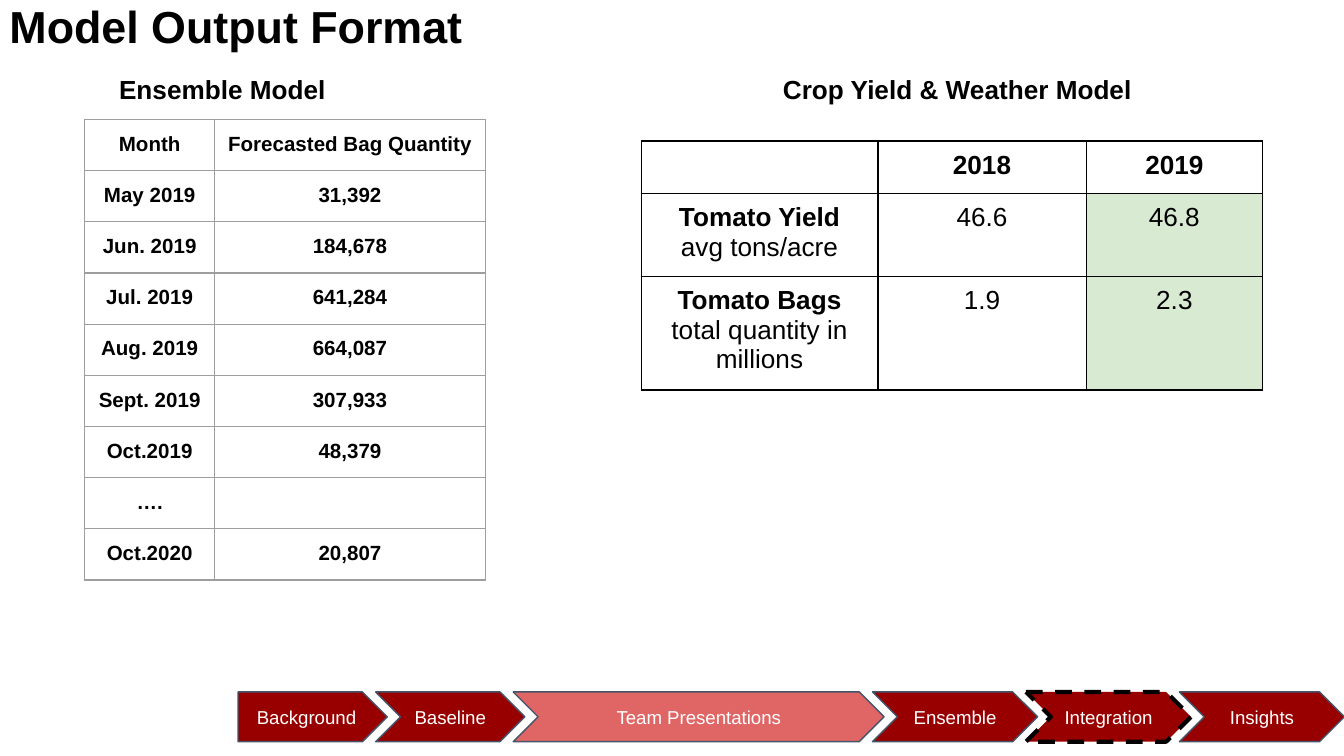
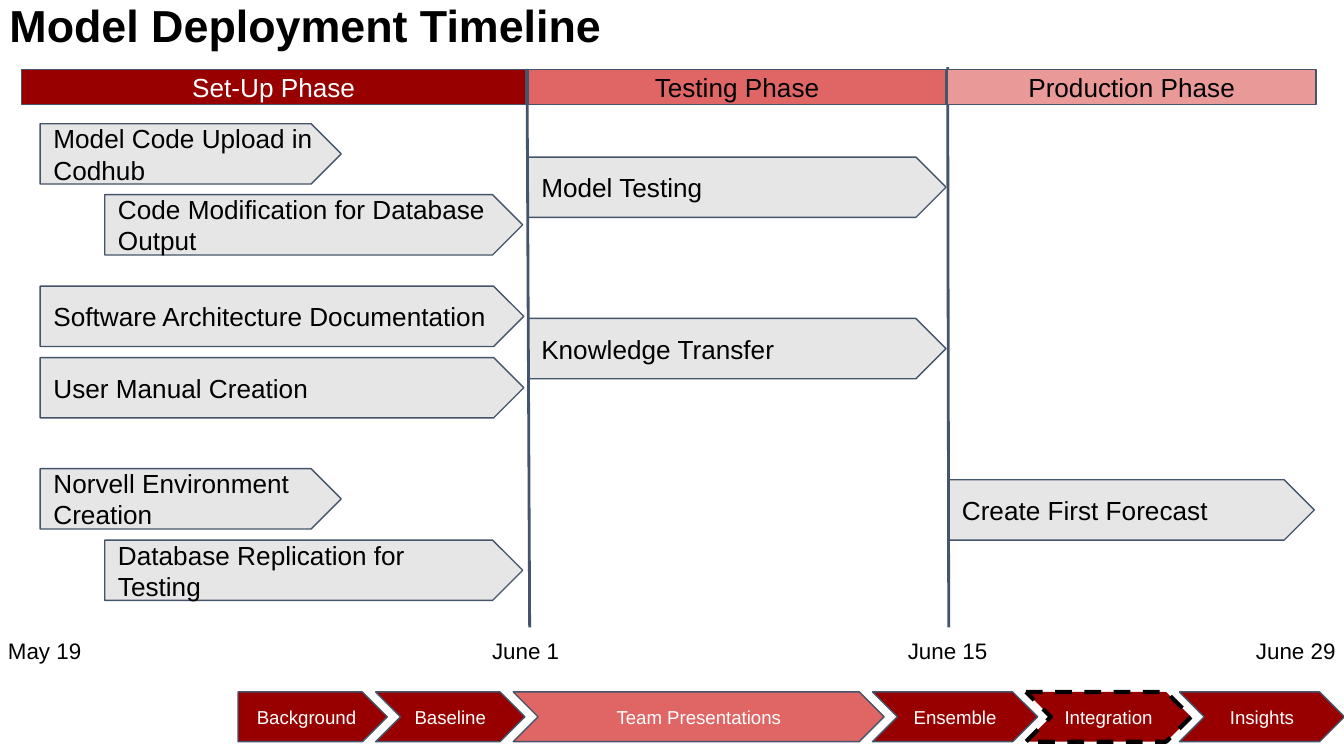
from dataclasses import dataclass

from lxml import etree
from pptx import Presentation
from pptx.dml.color import RGBColor
from pptx.enum.dml import MSO_LINE
from pptx.enum.shapes import MSO_CONNECTOR, MSO_SHAPE
from pptx.enum.text import MSO_ANCHOR, PP_ALIGN
from pptx.oxml.ns import qn
from pptx.slide import Slide
from pptx.table import _Cell
from pptx.text.text import TextFrame
from pptx.util import Cm, Pt

CHEVRON = MSO_SHAPE.CHEVRON
PENTAGON = MSO_SHAPE.PENTAGON
RECTANGLE = MSO_SHAPE.RECTANGLE
STRAIGHT = MSO_CONNECTOR.STRAIGHT
DASH = MSO_LINE.DASH
LEFT = PP_ALIGN.LEFT
CENTER = PP_ALIGN.CENTER
MIDDLE = MSO_ANCHOR.MIDDLE

FONT = "Arial"
COLORS = {
    "black": "000000",
    "white": "FFFFFF",
    "crimson": "980000",
    "coral": "E06666",
    "rose": "EA9999",
    "task": "E7E6E6",
    "outline": "44546A",
    "grid": "9E9E9E",
    "forecast": "D9EAD3",
}


@dataclass(frozen=True)
class Box:
    left: float
    top: float
    width: float
    height: float

    def lengths(self) -> tuple[Cm, Cm, Cm, Cm]:
        return Cm(self.left), Cm(self.top), Cm(self.width), Cm(self.height)


@dataclass(frozen=True)
class TextStyle:
    size: float
    color: str = "black"
    bold: bool = False
    align: PP_ALIGN = CENTER


@dataclass(frozen=True)
class Block:
    text: str
    box: Box
    fill: str
    style: TextStyle
    geometry: MSO_SHAPE = PENTAGON
    current: bool = False


@dataclass(frozen=True)
class Step:
    label: str
    width: float
    fill: str = "crimson"


@dataclass(frozen=True)
class Grid:
    left: float
    top: float
    columns: tuple[float, ...]
    row_heights: tuple[float, ...]
    rows: tuple[tuple[str, ...], ...]
    size: float
    margin: float
    border: str
    border_width: float
    bold_columns: int
    shaded: tuple[tuple[int, int], ...] = ()


@dataclass(frozen=True)
class Task:
    text: str
    left: float
    top: float
    width: float


@dataclass(frozen=True)
class Phase:
    text: str
    left: float
    width: float
    fill: str
    color: str


@dataclass(frozen=True)
class Milestone:
    text: str
    left: float
    width: float


TITLE = TextStyle(24, bold=True, align=LEFT)
SUBHEAD = TextStyle(14, bold=True)
STEP = TextStyle(10, "white")
TASK = TextStyle(14, align=LEFT)
DATE = TextStyle(12)

STEPS = (
    Step("Background", 2.82),
    Step("Baseline", 2.82),
    Step("Team Presentations", 7.01, "coral"),
    Step("Ensemble", 3.12),
    Step("Integration", 3.12),
    Step("Insights", 3.12),
)
CURRENT_STEP = "Integration"
STEPS_LEFT, STEPS_TOP, STEP_HEIGHT, STEP_OVERLAP = 4.5, 13.08, 0.94, 0.22

ENSEMBLE_ROWS = (
    ("Month", "Forecasted Bag Quantity"),
    ("May 2019", "31,392"),
    ("Jun. 2019", "184,678"),
    ("Jul. 2019", "641,284"),
    ("Aug. 2019", "664,087"),
    ("Sept. 2019", "307,933"),
    ("Oct.2019", "48,379"),
    ("….", ""),
    ("Oct.2020", "20,807"),
)
ENSEMBLE = Grid(1.6, 2.26, (2.46, 5.11), (0.84,) * len(ENSEMBLE_ROWS),
                ENSEMBLE_ROWS, 11, 0.25, "grid", 0.75, 2)
CROP_ROWS = (
    ("", "2018", "2019"),
    ("Tomato Yield\navg tons/acre", "46.6", "46.8"),
    ("Tomato Bags\ntotal quantity in millions", "1.9", "2.3"),
)
CROP = Grid(12.12, 2.67, (4.47, 3.94, 3.33), (0.99, 1.57, 1.57),
            CROP_ROWS, 14, 0.18, "black", 1, 1, ((1, 2), (2, 2)))

PHASES = (
    Phase("Set-Up Phase", 0.41, 9.53, "crimson", "white"),
    Phase("Testing Phase", 9.98, 7.9, "coral", "black"),
    Phase("Production Phase", 17.91, 6.96, "rose", "black"),
)
TASKS = (
    Task("Model Code Upload in Codhub", 0.76, 2.34, 5.69),
    Task("Code Modification for Database Output", 1.98, 3.68, 7.9),
    Task("Software Architecture Documentation", 0.76, 5.41, 9.14),
    Task("User Manual Creation", 0.76, 6.76, 9.14),
    Task("Norvell Environment Creation", 0.76, 8.86, 5.69),
    Task("Database Replication for Testing", 1.98, 10.21, 7.9),
    Task("Knowledge Transfer", 9.98, 6.02, 7.9),
    Task("Model Testing", 9.98, 2.97, 7.9),
    Task("Create First Forecast", 17.93, 9.07, 6.91),
)
MILESTONES = (
    Milestone("May 19", -0.3, 2.29),
    Milestone("June 1", 8.79, 2.29),
    Milestone("June 15", 16.69, 2.44),
    Milestone("June 29", 23.27, 2.44),
)
DIVIDERS = ((9.96, 1.3, 10.01), (17.91, 1.27, 17.93))
DIVIDER_BOTTOM = 11.86


def rgb(name: str) -> RGBColor:
    return RGBColor.from_string(COLORS[name])


def write(frame: TextFrame, text: str, style: TextStyle,
          margin_x: float = 0.25, margin_y: float = 0.25) -> None:
    frame.word_wrap = True
    frame.margin_left = frame.margin_right = Cm(margin_x)
    frame.margin_top = frame.margin_bottom = Cm(margin_y)
    frame.text = text
    for paragraph in frame.paragraphs:
        paragraph.alignment = style.align
        for run in paragraph.runs:
            run.font.name = FONT
            run.font.size = Pt(style.size)
            run.font.bold = style.bold
            run.font.color.rgb = rgb(style.color)


def add_label(slide: Slide, text: str, box: Box, style: TextStyle) -> None:
    write(slide.shapes.add_textbox(*box.lengths()).text_frame, text, style)


def add_title(slide: Slide, text: str, top: float, height: float) -> None:
    frame = slide.shapes.add_textbox(*Box(0, top, 22.23, height).lengths()).text_frame
    write(frame, text, TITLE, 0.18, 0.1)
    frame.paragraphs[0].line_spacing = 0.9


def add_block(slide: Slide, block: Block) -> None:
    shape = slide.shapes.add_shape(block.geometry, *block.box.lengths())
    shape.shadow.inherit = False
    shape.fill.solid()
    shape.fill.fore_color.rgb = rgb(block.fill)
    shape.line.color.rgb = rgb("black" if block.current else "outline")
    shape.line.width = Pt(2.25 if block.current else 0.75)
    if block.current:
        shape.line.dash_style = DASH
    write(shape.text_frame, block.text, block.style)
    shape.text_frame.vertical_anchor = MIDDLE


def add_steps(slide: Slide) -> None:
    left = STEPS_LEFT
    for position, step in enumerate(STEPS):
        add_block(slide, Block(
            step.label, Box(left, STEPS_TOP, step.width, STEP_HEIGHT), step.fill, STEP,
            CHEVRON if position else PENTAGON, step.label == CURRENT_STEP))
        left += step.width - STEP_OVERLAP


def set_borders(cell: _Cell, color: str, width: float) -> None:
    properties = cell._tc.get_or_add_tcPr()
    for side in ("a:lnL", "a:lnR", "a:lnT", "a:lnB"):
        line = etree.SubElement(properties, qn(side), w=str(Pt(width)))
        fill = etree.SubElement(line, qn("a:solidFill"))
        etree.SubElement(fill, qn("a:srgbClr"), val=COLORS[color])


def fill_cell(cell: _Cell, grid: Grid, row: int, column: int) -> None:
    text = grid.rows[row][column]
    bold = row == 0 or column < grid.bold_columns
    write(cell.text_frame, text, TextStyle(grid.size, bold=bold))
    cell.margin_left = cell.margin_right = Cm(grid.margin)
    cell.margin_top = cell.margin_bottom = Cm(grid.margin)
    for detail in cell.text_frame.paragraphs[1:]:
        for run in detail.runs:
            run.font.bold = False
    if not text:
        etree.SubElement(cell.text_frame.paragraphs[0]._p, qn("a:endParaRPr"),
                         sz=str(grid.size * 100))
    set_borders(cell, grid.border, grid.border_width)
    if (row, column) in grid.shaded:
        cell.fill.solid()
        cell.fill.fore_color.rgb = rgb("forecast")
    else:
        cell.fill.background()


def add_grid(slide: Slide, grid: Grid) -> None:
    box = Box(grid.left, grid.top, sum(grid.columns), sum(grid.row_heights))
    table = slide.shapes.add_table(
        len(grid.rows), len(grid.columns), *box.lengths()).table
    table.first_row = table.horz_banding = False
    for column, width in enumerate(grid.columns):
        table.columns[column].width = Cm(width)
    for row, height in enumerate(grid.row_heights):
        table.rows[row].height = Cm(height)
        for column in range(len(grid.columns)):
            fill_cell(table.cell(row, column), grid, row, column)


def add_divider(slide: Slide, left: float, top: float, end: float) -> None:
    divider = slide.shapes.add_connector(
        STRAIGHT, Cm(left), Cm(top), Cm(end), Cm(DIVIDER_BOTTOM))
    divider.line.color.rgb = rgb("outline")
    divider.line.width = Pt(1.5)
    etree.SubElement(divider._element.spPr, qn("a:effectLst"))


def build_output_format(slide: Slide) -> None:
    add_title(slide, "Model Output Format", 0, 1.17)
    add_label(slide, "Ensemble Model", Box(0.05, 1.14, 8.31, 0.76), SUBHEAD)
    add_label(slide, "Crop Yield & Weather Model", Box(13.94, 1.14, 8.31, 0.76), SUBHEAD)
    add_grid(slide, CROP)
    add_grid(slide, ENSEMBLE)
    add_steps(slide)


def build_timeline(slide: Slide) -> None:
    add_title(slide, "Model Deployment Timeline", -0.03, 1.27)
    for task in TASKS:
        add_block(slide, Block(
            task.text, Box(task.left, task.top, task.width, 1.14), "task", TASK))
    for divider in DIVIDERS:
        add_divider(slide, *divider)
    for phase in PHASES:
        add_block(slide, Block(
            phase.text, Box(phase.left, 1.32, phase.width, 0.66), phase.fill,
            TextStyle(14, phase.color), RECTANGLE))
    for milestone in MILESTONES:
        add_label(slide, milestone.text,
                  Box(milestone.left, 11.79, milestone.width, 0.81), DATE)
    add_steps(slide)


def main() -> None:
    deck = Presentation()
    deck.slide_width, deck.slide_height = Cm(25.4), Cm(14.29)
    blank = deck.slide_layouts[6]
    for build in (build_output_format, build_timeline):
        build(deck.slides.add_slide(blank))
    deck.save("out.pptx")


if __name__ == "__main__":
    main()
